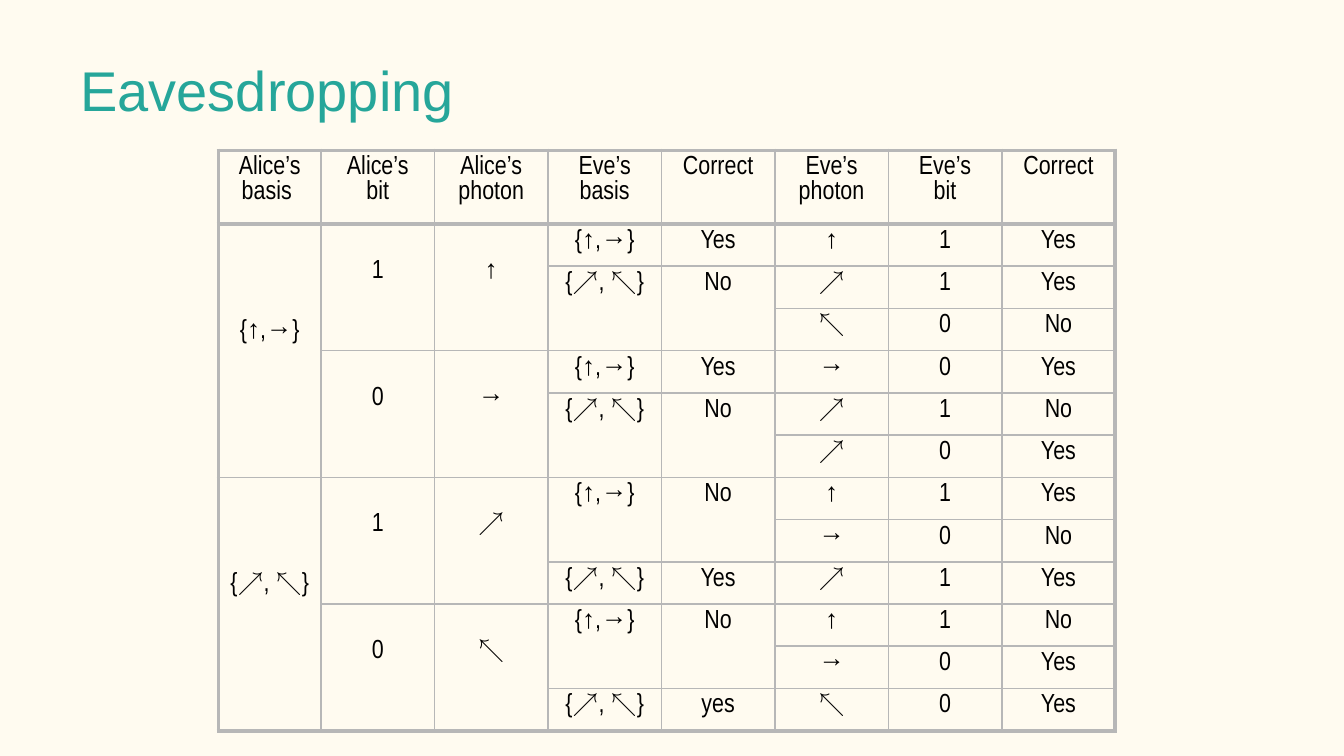
from lxml.etree import SubElement
from pptx import Presentation
from pptx.dml.color import RGBColor as Color
from pptx.enum.text import MSO_ANCHOR as Anchor, PP_ALIGN as Align
from pptx.oxml.ns import qn
from pptx.util import Pt

TITLE = "Eavesdropping"
HEADERS = ["Alice’s\nbasis ", "Alice’s\nbit", "Alice’s\nphoton", "Eve’s\nbasis",
           "Correct", "Eve’s\nphoton", "Eve’s\nbit", "Correct"]
STRAIGHT, DIAGONAL = "{↑,→}", "{↗, ↖}"
# None continues the cell above
RESULTS = [
    [STRAIGHT, "1", "↑", STRAIGHT, "Yes", "↑", "1", "Yes"],
    [None, None, None, DIAGONAL, "No", "↗", "1", "Yes"],
    [None, None, None, None, None, "↖", "0", "No"],
    [None, "0", "→", STRAIGHT, "Yes", "→", "0", "Yes"],
    [None, None, None, DIAGONAL, "No", "↗", "1", "No"],
    [None, None, None, None, None, "↗", "0", "Yes"],
    [DIAGONAL, "1", "↗", STRAIGHT, "No", "↑", "1", "Yes"],
    [None, None, None, None, None, "→", "0", "No"],
    [None, None, None, DIAGONAL, "Yes", "↗", "1", "Yes"],
    [None, "0", "↖", STRAIGHT, "No", "↑", "1", "No"],
    [None, None, None, None, None, "→", "0", "Yes"],
    [None, None, None, DIAGONAL, "yes", "↖", "0", "Yes"],
]
ROWS = [HEADERS] + RESULTS
COLORS = {"page": "FFFBF0", "title": "26A69A", "text": "000000", "border": "B7B7B7"}
COLUMN_WIDTHS = [55] + [60.8] * 7
ROW_HEIGHTS = [37.8] + [21.6] * 12
THIN, THICK = 1, 2.25
LINE_STEP = 16.1
LINES_DOWN = {0: 3, 1: 1, 2: 1}  # lines by which text in a column starts lower


def add_span(para, text, size, font, color):
    span = para.add_run()
    span.text = text
    span.font.size = Pt(size)
    span.font.name = font
    span.font.bold = False
    span.font.color.rgb = Color.from_string(COLORS[color])


def row_span(row, column):
    end = row + 1
    while end < len(ROWS) and ROWS[end][column] is None:
        end += 1
    return end - row


def set_borders(cell, row, last_row, column):
    """Thick lines go round the table and below the header."""
    thick = {
        "lnL": column == 0,
        "lnR": column == len(HEADERS) - 1,
        "lnT": row <= 1,
        "lnB": last_row in (0, len(ROWS) - 1),
    }
    properties = cell._tc.get_or_add_tcPr()
    for tag, is_thick in thick.items():
        line = SubElement(properties, qn("a:" + tag), w=str(Pt(THICK if is_thick else THIN)))
        fill = SubElement(line, qn("a:solidFill"))
        SubElement(fill, qn("a:srgbClr"), val=COLORS["border"])


def fill_cell(cell, text, lines_down):
    cell.margin_left = cell.margin_right = Pt(5)
    cell.margin_top = Pt(2.9 + LINE_STEP * lines_down)
    cell.margin_bottom = Pt(2.9)
    cell.vertical_anchor = Anchor.TOP
    para = cell.text_frame.paragraphs[0]
    para.alignment = Align.CENTER
    for index, part in enumerate(text.split("\n")):
        if index:
            para.add_line_break()
        add_span(para, part, 14, "Arial Narrow", "text")


def add_title(page):
    box = page.shapes.add_textbox(Pt(36), Pt(22.3), Pt(648), Pt(80.6))
    frame = box.text_frame
    frame.word_wrap = True
    frame.vertical_anchor = Anchor.TOP
    frame.margin_left = frame.margin_right = Pt(7.2)
    frame.margin_top = frame.margin_bottom = Pt(7.2)
    add_span(frame.paragraphs[0], TITLE, 30, "Arial", "title")


def add_results(page):
    table = page.shapes.add_table(len(ROWS), len(HEADERS), Pt(117), Pt(80.6),
                                  Pt(sum(COLUMN_WIDTHS)), Pt(sum(ROW_HEIGHTS))).table
    table.first_row = table.horz_banding = False
    for column, width in zip(table.columns, COLUMN_WIDTHS):
        column.width = Pt(width)
    for row, height in zip(table.rows, ROW_HEIGHTS):
        row.height = Pt(height)
    for row, texts in enumerate(ROWS):
        for column, text in enumerate(texts):
            cell = table.cell(row, column)
            last_row = row + row_span(row, column) - 1
            set_borders(cell, row, last_row, column)
            cell.fill.background()
            if text is None:
                continue
            if last_row > row:
                cell.merge(table.cell(last_row, column))
            fill_cell(cell, text, LINES_DOWN.get(column, 0) if row else 0)


def main():
    deck = Presentation()
    deck.slide_width, deck.slide_height = Pt(720), Pt(405)
    page = deck.slides.add_slide(deck.slide_layouts[6])
    background = page.background.fill
    background.solid()
    background.fore_color.rgb = Color.from_string(COLORS["page"])
    add_title(page)
    add_results(page)
    deck.save("out.pptx")


if __name__ == "__main__":
    main()
